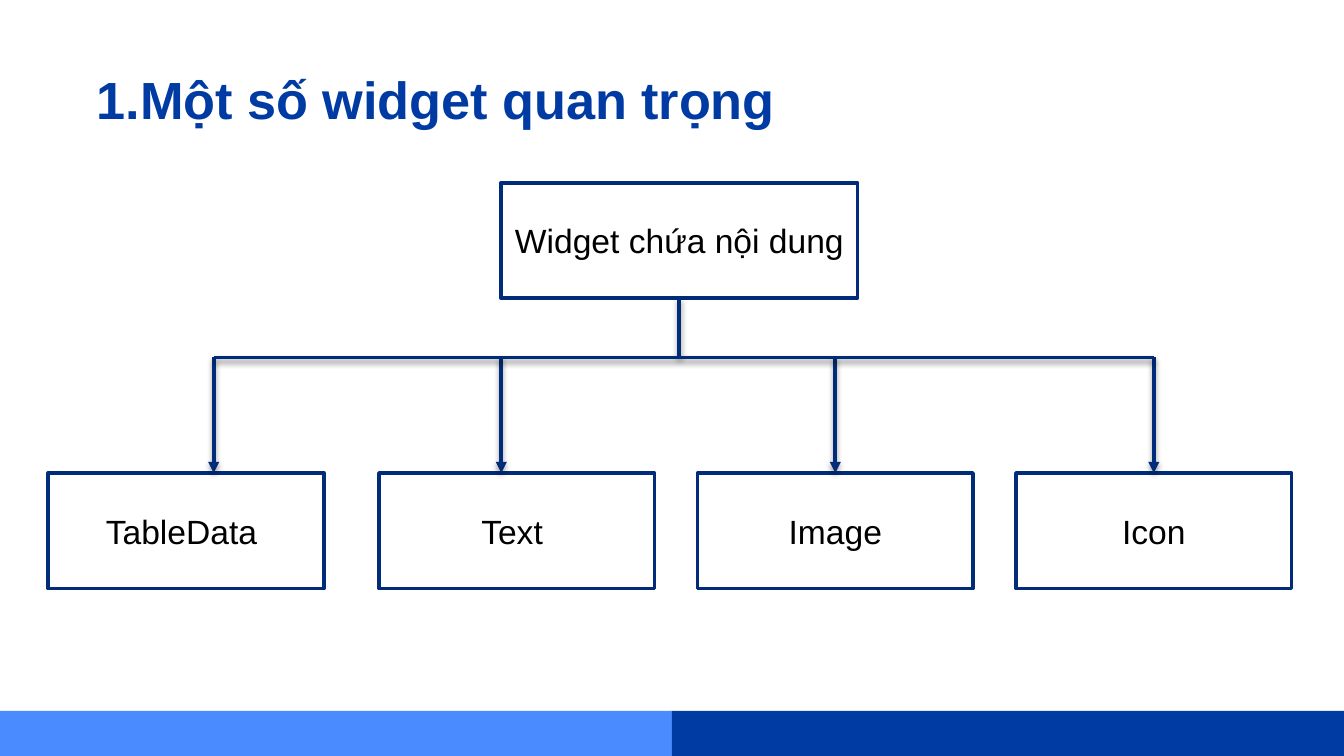
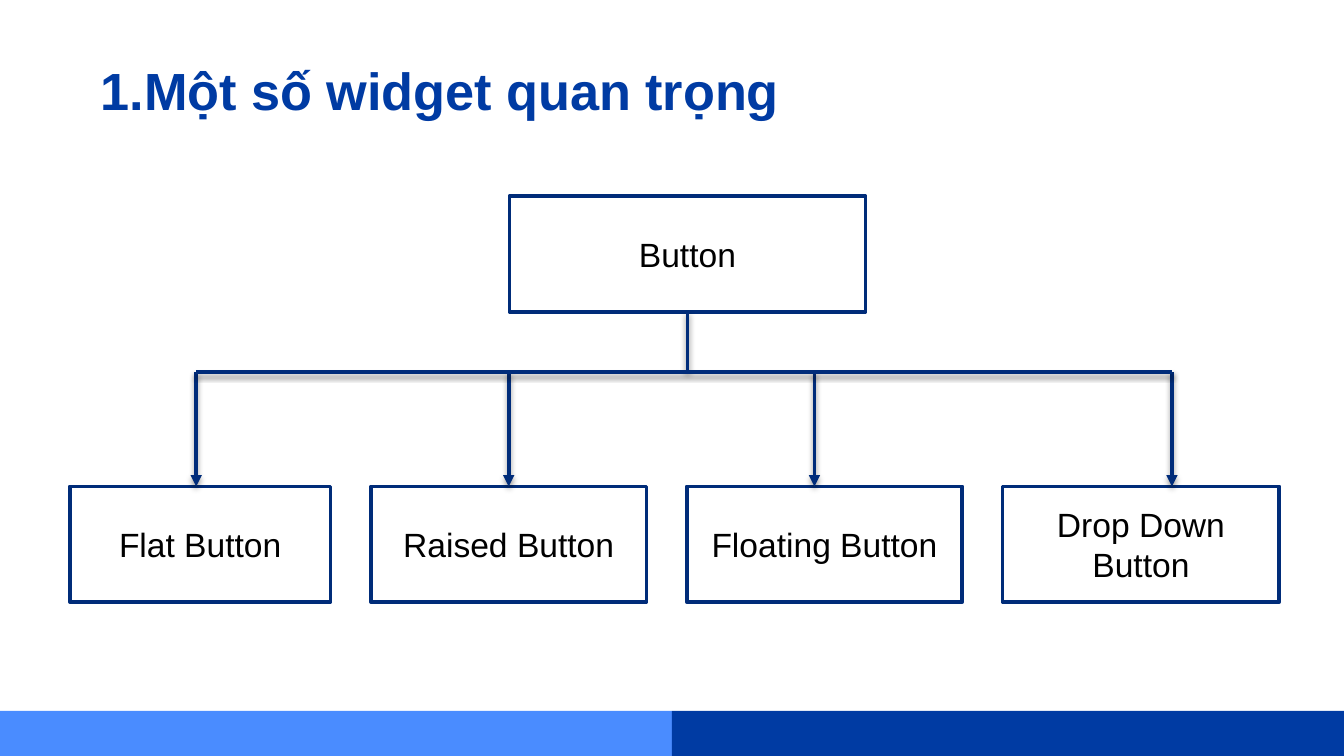
from lxml import etree
from pptx import Presentation
from pptx.dml.color import RGBColor as RGB
from pptx.enum.shapes import MSO_CONNECTOR as CONNECTOR, MSO_SHAPE as SHAPE
from pptx.enum.text import MSO_ANCHOR as ANCHOR, PP_ALIGN as ALIGN
from pptx.oxml import parse_xml
from pptx.oxml.ns import nsdecls, qn
from pptx.util import Inches, Pt

THEME = {
    "font": "Arial",
    "title": {"size": Pt(28), "bold": True, "color": RGB(0x00, 0x3B, 0xA3)},
    "label": {"size": Pt(18), "bold": False, "color": RGB(0, 0, 0)},
    "bands": [RGB(0x4A, 0x8C, 0xFF), RGB(0x00, 0x3B, 0xA3)],
    "box_fill": RGB(255, 255, 255),
    "outline": RGB(0x00, 0x2C, 0x79),
    "line": RGB(0x00, 0x2C, 0x7A),
    "line_width": Pt(2),
}
TITLE = "1.Một số widget quan trọng"
BOX_HEIGHT = 0.86
PARENT_WIDTH = 2.65
SHADOW = (
    f'<a:effectLst {nsdecls("a")}>'
    f'<a:outerShdw blurRad="{Pt(3.1)}" dist="{Pt(1.6)}" dir="5400000" rotWithShape="0">'
    '<a:srgbClr val="000000"><a:alpha val="38000"/></a:srgbClr>'
    '</a:outerShdw></a:effectLst>'
)

# Each child: label, left, width, x of its arrow (None for the middle of the box)
TREES = [
    {"title_at": (0.62, 0.4), "parent": ("Widget chứa nội dung", 3.73, 1.36),
     "bus_y": 2.66, "child_y": 3.52,
     "children": [("TableData ", 0.36, 2.05, 1.59), ("Text ", 2.82, 2.05, 3.73),
                  ("Image", 5.19, 2.05, None), ("Icon", 7.56, 2.05, None)]},
    {"title_at": (0.65, 0.33), "parent": ("Button", 3.79, 1.46),
     "bus_y": 2.77, "child_y": 3.62,
     "children": [("Flat Button", 0.52, 1.94, 1.46), ("Raised Button", 2.76, 2.05, None),
                  ("Floating Button", 5.11, 2.05, 6.06),
                  ("Drop Down Button", 7.46, 2.06, 8.72)]},
]


def add_text_shape(slide, text, style, left, top, width, height, boxed=True):
    """Add a centred outlined box, or a plain left-aligned text box."""
    area = [Inches(value) for value in (left, top, width, height)]
    if boxed:
        shape = slide.shapes.add_shape(SHAPE.RECTANGLE, *area)
        shape.shadow.inherit = False
        shape.fill.solid()
        shape.fill.fore_color.rgb = THEME["box_fill"]
        shape.line.color.rgb = THEME["outline"]
        shape.line.width = THEME["line_width"]
    else:
        shape = slide.shapes.add_textbox(*area)
    margin = Inches(0.05 if boxed else 0.1)
    frame_format = {
        "word_wrap": True,
        "vertical_anchor": ANCHOR.MIDDLE if boxed else ANCHOR.TOP,
        "margin_left": margin, "margin_right": margin,
        "margin_top": margin, "margin_bottom": margin,
    }
    for name, value in frame_format.items():
        setattr(shape.text_frame, name, value)
    paragraph = shape.text_frame.paragraphs[0]
    paragraph.alignment = ALIGN.CENTER if boxed else ALIGN.LEFT
    run = paragraph.add_run()
    run.text = text
    font_format = {"name": THEME["font"], "size": style["size"], "bold": style["bold"]}
    for name, value in font_format.items():
        setattr(run.font, name, value)
    run.font.color.rgb = style["color"]
    return shape


def add_line(slide, start, end, arrow=False):
    """Add a straight shadowed line, with an arrowhead at its end if asked."""
    connector = slide.shapes.add_connector(
        CONNECTOR.STRAIGHT, *[Inches(value) for value in (*start, *end)])
    connector.line.color.rgb = THEME["line"]
    connector.line.width = THEME["line_width"]
    if arrow:
        outline = connector.line._get_or_add_ln()
        etree.SubElement(outline, qn("a:tailEnd"), type="triangle")
    connector._element.spPr.append(parse_xml(SHADOW))
    return connector


presentation = Presentation()
presentation.slide_width = Inches(10)
presentation.slide_height = presentation.slide_width * 9 // 16

for tree in TREES:
    slide = presentation.slides.add_slide(presentation.slide_layouts[6])

    # Footer bands
    for index, color in enumerate(THEME["bands"]):
        band = slide.shapes.add_shape(
            SHAPE.RECTANGLE, Inches(5 * index), Inches(5.29), Inches(5), Inches(0.34))
        band.shadow.inherit = False
        band.fill.solid()
        band.fill.fore_color.rgb = color
        band.line.fill.background()

    # Title
    add_text_shape(slide, TITLE, THEME["title"], *tree["title_at"], 8.43, 0.63, boxed=False)

    # Parent box and trunk
    label, left, top = tree["parent"]
    parent = add_text_shape(slide, label, THEME["label"], left, top, PARENT_WIDTH, BOX_HEIGHT)
    trunk_x = left + PARENT_WIDTH / 2
    bus_y, child_y = tree["bus_y"], tree["child_y"]
    trunk = add_line(slide, (trunk_x, top + BOX_HEIGHT), (trunk_x, bus_y))
    trunk.begin_connect(parent, 2)

    # Child boxes, joined where the arrow meets the middle of the top side
    arrow_positions = []
    for label, left, width, arrow_x in tree["children"]:
        child = add_text_shape(slide, label, THEME["label"], left, child_y, width, BOX_HEIGHT)
        x = arrow_x or left + width / 2
        arrow = add_line(slide, (x, bus_y), (x, child_y), arrow=True)
        if arrow_x is None:
            arrow.end_connect(child, 0)
        arrow_positions.append(x)

    # Horizontal bus
    add_line(slide, (arrow_positions[0], bus_y), (arrow_positions[-1], bus_y))

presentation.save("out.pptx")
